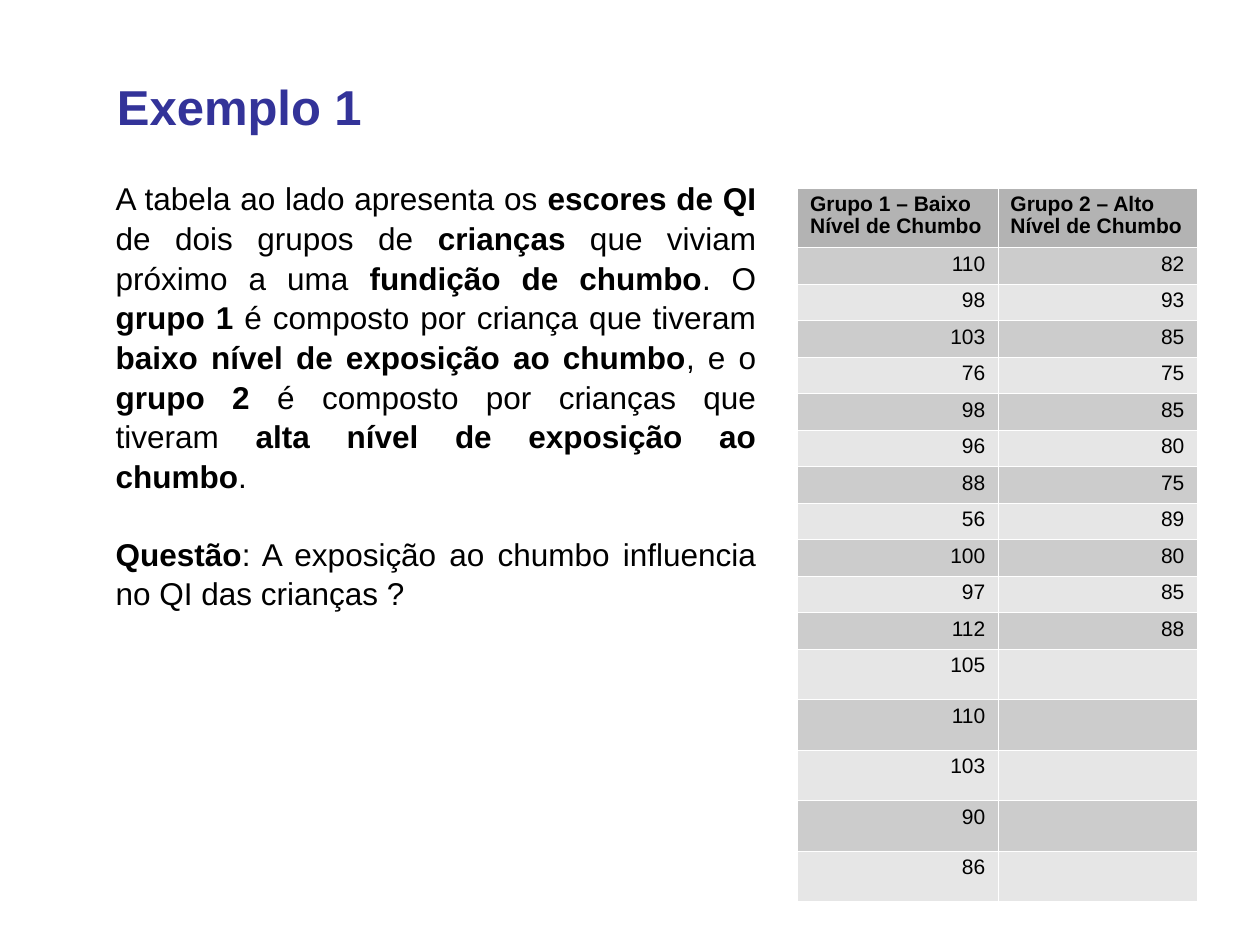
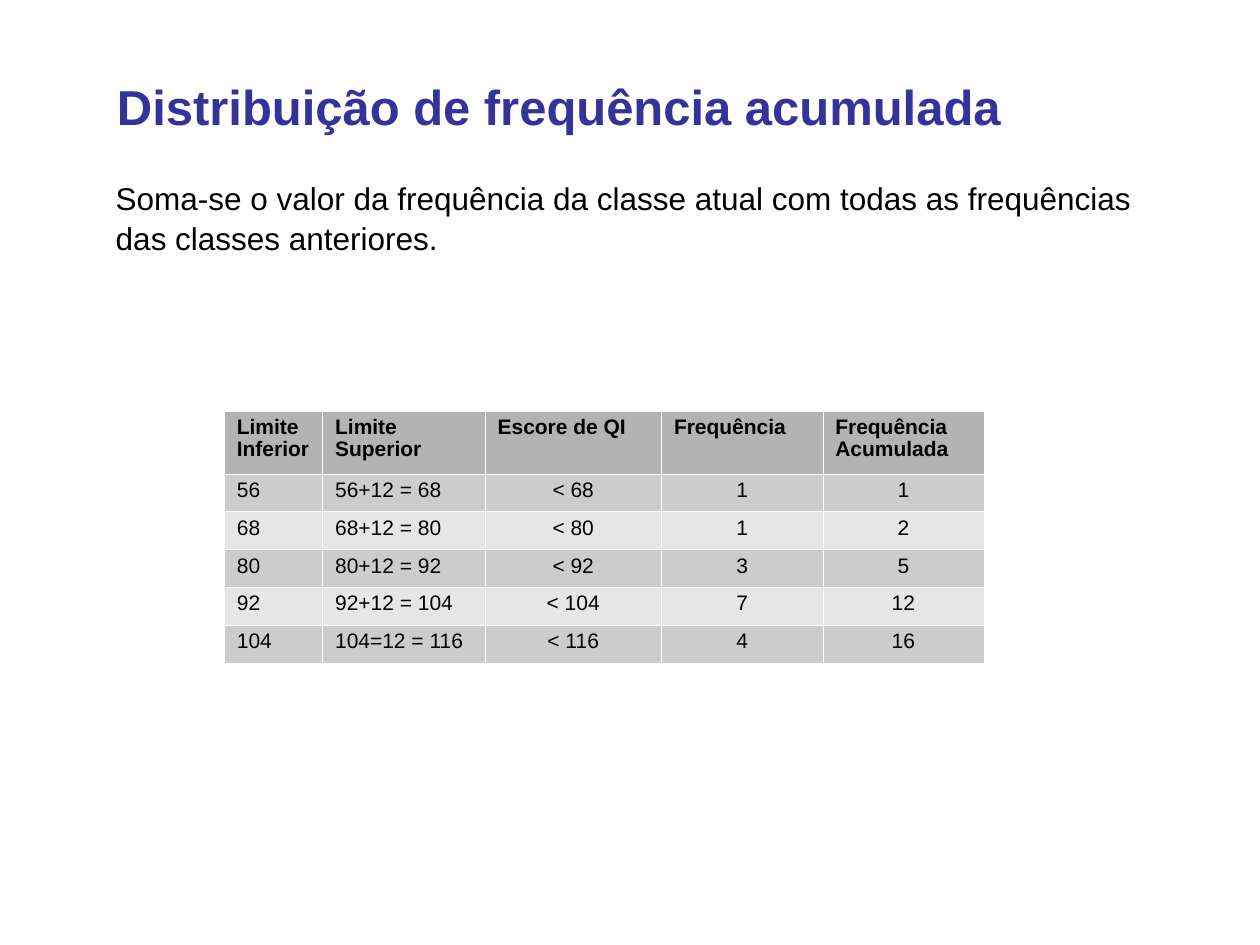
from dataclasses import dataclass
from itertools import zip_longest

from lxml.etree import SubElement
from pptx import Presentation
from pptx.dml.color import RGBColor
from pptx.enum.text import PP_ALIGN as Align
from pptx.oxml.ns import qn
from pptx.slide import Slide
from pptx.table import _Cell as Cell
from pptx.text.text import TextFrame, _Paragraph as Paragraph
from pptx.util import Inches, Pt


@dataclass(frozen=True)
class Theme:
    font: str = "Arial"
    title_color: str = "333399"
    text_color: str = "000000"
    header_fill: str = "B3B3B3"
    band_fills: tuple[str, str] = ("CCCCCC", "E6E6E6")
    border_color: str = "FFFFFF"
    border_width: float = 0.06
    title_size: int = 28
    body_size: int = 18
    table_size: int = 12
    body_spacing: float = 1.05
    table_spacing: float = 0.93
    paragraph_gap: float = 21.6


@dataclass(frozen=True)
class TextBlock:
    """Paragraphs in which ** switches bold on and off."""
    paragraphs: tuple[str, ...]
    left: float
    top: float
    width: float
    height: float
    size: int
    color: str
    align: Align = Align.LEFT
    spacing: float = 1.0


@dataclass(frozen=True)
class TableBlock:
    left: float
    top: float
    column_widths: tuple[float, ...]
    row_heights: tuple[float, ...]
    header: tuple[str, ...]
    rows: tuple[tuple[str, ...], ...]
    aligns: tuple[Align, ...]


THEME = Theme()


def write_spans(para: Paragraph, marked: str, size: int, color: str) -> None:
    for index, piece in enumerate(marked.split("**")):
        if piece:
            span = para.add_run()
            span.text = piece
            font = span.font
            font.name, font.size, font.bold = THEME.font, Pt(size), index % 2 == 1
            font.color.rgb = RGBColor.from_string(color)


def write_paragraphs(frame: TextFrame, paragraphs: tuple[str, ...], size: int, color: str,
                     align: Align, spacing: float) -> None:
    for index, marked in enumerate(paragraphs):
        para = frame.add_paragraph() if index else frame.paragraphs[0]
        para.alignment = align
        para.line_spacing = spacing
        if index and size == THEME.body_size:
            para.space_before = Pt(THEME.paragraph_gap)
        write_spans(para, marked, size, color)


def draw_text(page: Slide, block: TextBlock) -> None:
    box = page.shapes.add_textbox(Inches(block.left), Inches(block.top),
                                  Inches(block.width), Inches(block.height))
    box.text_frame.word_wrap = True
    write_paragraphs(box.text_frame, block.paragraphs, block.size, block.color,
                     block.align, block.spacing)


def draw_title(page: Slide, title: str) -> None:
    draw_text(page, TextBlock((f"**{title}**",), 0.83, 0.56, 8.51, 0.63,
                              THEME.title_size, THEME.title_color))


def draw_body(page: Slide, paragraphs: tuple[str, ...], width: float, height: float,
              align: Align = Align.LEFT) -> None:
    draw_text(page, TextBlock(paragraphs, 0.82, 1.36, width, height, THEME.body_size,
                              THEME.text_color, align, THEME.body_spacing))


def style_cell(cell: Cell, fill: str) -> None:
    properties = cell._tc.get_or_add_tcPr()
    for side in ("a:lnL", "a:lnR", "a:lnT", "a:lnB"):
        line = SubElement(properties, qn(side), w=str(Pt(THEME.border_width)))
        paint = SubElement(line, qn("a:solidFill"))
        SubElement(paint, qn("a:srgbClr"), val=THEME.border_color)
    cell.fill.solid()
    cell.fill.fore_color.rgb = RGBColor.from_string(fill)


def draw_table(page: Slide, block: TableBlock) -> None:
    table = page.shapes.add_table(
        len(block.row_heights), len(block.column_widths),
        Inches(block.left), Inches(block.top),
        Inches(sum(block.column_widths)), Inches(sum(block.row_heights))).table
    table.first_row = table.horz_banding = False
    for column, width in zip(table.columns, block.column_widths):
        column.width = Inches(width)
    for row, height in zip(table.rows, block.row_heights):
        row.height = Inches(height)

    for row_index, values in enumerate((block.header, *block.rows)):
        is_header = row_index == 0
        fill = THEME.header_fill if is_header else THEME.band_fills[(row_index - 1) % 2]
        for column_index, value in enumerate(values):
            cell = table.cell(row_index, column_index)
            style_cell(cell, fill)
            lines = tuple(f"**{line}**" if is_header else line for line in value.split("\n"))
            align = Align.LEFT if is_header else block.aligns[column_index]
            write_paragraphs(cell.text_frame, lines, THEME.table_size, THEME.text_color,
                             align, THEME.table_spacing)


def build_example(page: Slide) -> None:
    draw_title(page, "Exemplo 1")
    draw_body(page, (
        "A tabela ao lado apresenta os **escores de QI** de dois grupos de **crianças** "
        "que viviam próximo a uma **fundição de chumbo**. O **grupo 1** é composto por "
        "criança que tiveram **baixo nível de exposição ao chumbo**, e o **grupo 2** é "
        "composto por crianças que tiveram **alta nível de exposição ao chumbo**.",
        "**Questão**: A exposição ao chumbo influencia no QI das crianças ?",
    ), 5.28, 3.4, Align.JUSTIFY)

    low_lead = (110, 98, 103, 76, 98, 96, 88, 56, 100, 97, 112, 105, 110, 103, 90, 86)
    high_lead = (82, 93, 85, 75, 85, 80, 75, 89, 80, 85, 88)
    unpaired = len(low_lead) - len(high_lead)
    draw_table(page, TableBlock(
        left=6.33, top=1.49,
        column_widths=(1.59, 1.58),
        row_heights=(0.46,) + (0.29,) * len(high_lead) + (0.4,) * unpaired,
        header=("Grupo 1 – Baixo\nNível de Chumbo", "Grupo 2 – Alto\nNível de Chumbo"),
        rows=tuple((str(low), str(high))
                   for low, high in zip_longest(low_lead, high_lead, fillvalue="")),
        aligns=(Align.RIGHT, Align.RIGHT)))


def build_cumulative_frequency(page: Slide) -> None:
    draw_title(page, "Distribuição de frequência acumulada")
    classes = (
        ("56", "56+12 = 68", "< 68", "1", "1"),
        ("68", "68+12 = 80", "< 80", "1", "2"),
        ("80", "80+12 = 92", "< 92", "3", "5"),
        ("92", "92+12 = 104", "< 104", "7", "12"),
        ("104", "104=12 = 116", "< 116", "4", "16"),
    )
    draw_table(page, TableBlock(
        left=1.78, top=3.26,
        column_widths=(0.78, 1.29, 1.4, 1.28, 1.28),
        row_heights=(0.5,) + (0.3,) * len(classes),
        header=("Limite Inferior", "Limite Superior", "Escore de QI", "Frequência",
                "Frequência\nAcumulada"),
        rows=classes,
        aligns=(Align.LEFT,) * 2 + (Align.CENTER,) * 3))
    draw_body(page, ("Soma-se o valor da frequência da classe atual com todas as "
                     "frequências das classes anteriores.",), 8.28, 0.84)


def main() -> None:
    deck = Presentation()
    deck.slide_width, deck.slide_height = Inches(10), Inches(7.5)
    blank = deck.slide_layouts[6]
    for build in (build_example, build_cumulative_frequency):
        build(deck.slides.add_slide(blank))
    deck.save("out.pptx")


if __name__ == "__main__":
    main()
